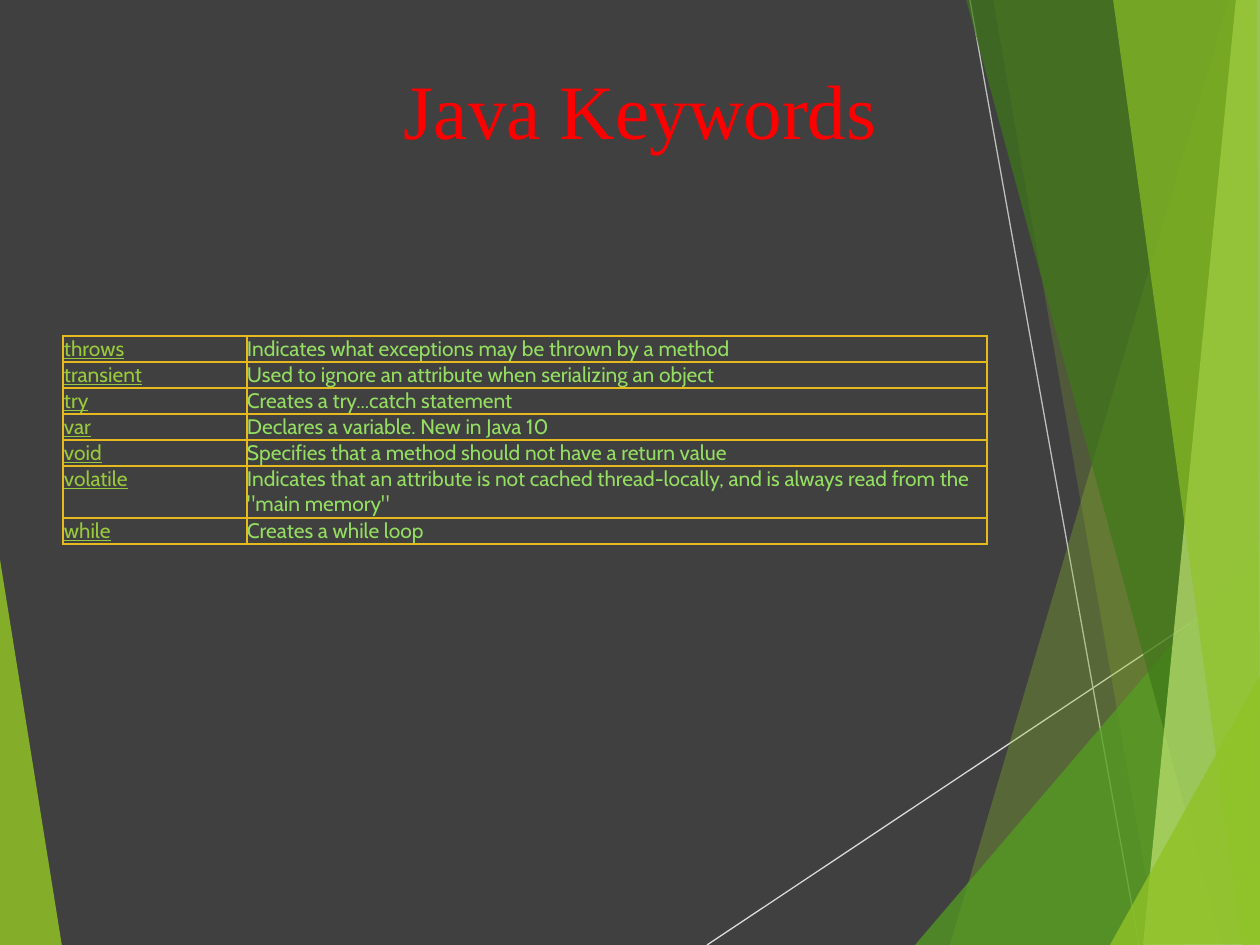
from typing import NamedTuple

from lxml.etree import SubElement
from pptx import Presentation
from pptx.dml.color import RGBColor
from pptx.enum.shapes import MSO_CONNECTOR as Connector
from pptx.enum.text import MSO_ANCHOR as Anchor, MSO_AUTO_SIZE as AutoSize, PP_ALIGN as Align
from pptx.oxml import parse_xml
from pptx.oxml.ns import nsdecls, qn
from pptx.util import Emu, Pt

SCALE = 914400 / 126  # EMU in one px
BORDER = "E6B91E"


class Facet(NamedTuple):
    points: list[tuple[int, int]]
    color: str
    opacity: int


class Ray(NamedTuple):
    start: tuple[int, int]
    end: tuple[int, int]
    color: str


class Keyword(NamedTuple):
    name: str
    meaning: str
    lines: int = 1


LEFT_FACET = Facet([(-1, 553), (62, 946), (-1, 945)], "90C226", 85)
RAYS = [
    Ray((707, 945), (1261, 576), "D9D9D9"),
    Ray((970, 0), (1139, 945), "BFBFBF"),
]
RIGHT_FACETS = [
    Facet([(1229, 0), (950, 945), (1262, 946), (1261, 1)], "90C226", 30),
    Facet([(993, -1), (1158, 945), (1261, 945), (1261, -1)], "90C226", 20),
    Facet([(915, 945), (1260, 541), (1261, 945)], "54A021", 72),
    Facet([(966, -1), (1222, 945), (1261, 944), (1261, -1)], "3F7819", 70),
    Facet([(1236, -1), (1143, 945), (1261, 945), (1260, -1)], "C0E474", 70),
    Facet([(1113, -1), (1242, 945), (1260, 945), (1257, -1)], "90C226", 65),
    Facet([(1110, 945), (1261, 674), (1261, 944)], "90C226", 80),
]
KEYWORDS = [
    Keyword("throws", "Indicates what exceptions may be thrown by a method"),
    Keyword("transient", "Used to ignore an attribute when serializing an object"),
    Keyword("try", "Creates a try...catch statement"),
    Keyword("var", "Declares a variable. New in Java 10"),
    Keyword("void", "Specifies that a method should not have a return value"),
    Keyword("volatile", "Indicates that an attribute is not cached thread-locally, "
            'and is always read from the "main memory"', lines=2),
    Keyword("while", "Creates a while loop"),
]


def px(length: int) -> Emu:
    return Emu(round(length * SCALE))


def rgb(color: str) -> RGBColor:
    return RGBColor.from_string(color)


def write(frame, text: str, *, size: int, font: str, color: str,
          underline: bool = False, align=Align.LEFT) -> None:
    paragraph = frame.paragraphs[0]
    paragraph.alignment = align
    run = paragraph.add_run()
    run.text = text
    run.font.size = Pt(size)
    run.font.name = font
    run.font.underline = underline
    run.font.color.rgb = rgb(color)


def draw_facet(slide, facet: Facet) -> None:
    first, *others = facet.points
    builder = slide.shapes.build_freeform(*first, scale=SCALE)
    builder.add_line_segments(others, close=True)
    shape = builder.convert_to_shape()
    shape.shadow.inherit = False
    shape.fill.solid()
    shape.fill.fore_color.rgb = rgb(facet.color)
    shape.line.fill.background()
    color = shape._element.spPr.find(qn("a:solidFill"))[0]
    SubElement(color, qn("a:alpha"), val=str(facet.opacity * 1000))


def draw_ray(slide, ray: Ray) -> None:
    line = slide.shapes.add_connector(
        Connector.STRAIGHT, *map(px, ray.start + ray.end))
    line.line.color.rgb = rgb(ray.color)
    line.line.width = Pt(0.75)
    SubElement(line._element.spPr, qn("a:effectLst"))


def format_cell(cell, left_margin: int) -> None:
    cell.margin_left = px(left_margin)
    cell.margin_right = cell.margin_top = cell.margin_bottom = 0
    cell.fill.background()
    properties = cell._tc.get_or_add_tcPr()
    # Borders must stand before the fill
    for position, side in enumerate(("lnL", "lnR", "lnT", "lnB")):
        properties.insert(position, parse_xml(
            f'<a:{side} {nsdecls("a")} w="12700"><a:solidFill>'
            f'<a:srgbClr val="{BORDER}"/></a:solidFill></a:{side}>'))


def draw_keywords(slide) -> None:
    row_height = 26
    height = row_height * sum(keyword.lines for keyword in KEYWORDS)
    table = slide.shapes.add_table(
        len(KEYWORDS), 2, px(63), px(336), px(924), px(height)).table
    table.first_row = table.horz_banding = False
    for column, width in zip(table.columns, (184, 740)):
        column.width = px(width)
    for index, keyword in enumerate(KEYWORDS):
        table.rows[index].height = px(row_height * keyword.lines)
        name, meaning = table.rows[index].cells
        format_cell(name, left_margin=1)
        format_cell(meaning, left_margin=0)
        write(name.text_frame, keyword.name, size=12, font="Cabin",
              color="99CA3C", underline=True)
        write(meaning.text_frame, keyword.meaning, size=12, font="Cabin",
              color="94DE61")


def draw_title(slide) -> None:
    title = slide.shapes.title
    title.left, title.top, title.width, title.height = map(px, (105, 42, 1071, 158))
    frame = title.text_frame
    frame.auto_size = AutoSize.NONE
    frame.vertical_anchor = Anchor.TOP
    frame.margin_top = px(21)
    write(frame, "Java Keywords", size=44, font="Times New Roman",
          color="FF0000", align=Align.CENTER)
    # Bring the title in front of the facets
    slide.shapes._spTree.append(title._element)


def main() -> None:
    presentation = Presentation()
    presentation.slide_width, presentation.slide_height = px(1260), px(945)
    slide = presentation.slides.add_slide(presentation.slide_layouts[5])
    slide.background.fill.solid()
    slide.background.fill.fore_color.rgb = rgb("404040")

    # Decoration
    draw_facet(slide, LEFT_FACET)
    for ray in RAYS:
        draw_ray(slide, ray)
    for facet in RIGHT_FACETS:
        draw_facet(slide, facet)

    # Content
    draw_title(slide)
    draw_keywords(slide)
    presentation.save("out.pptx")


if __name__ == "__main__":
    main()
